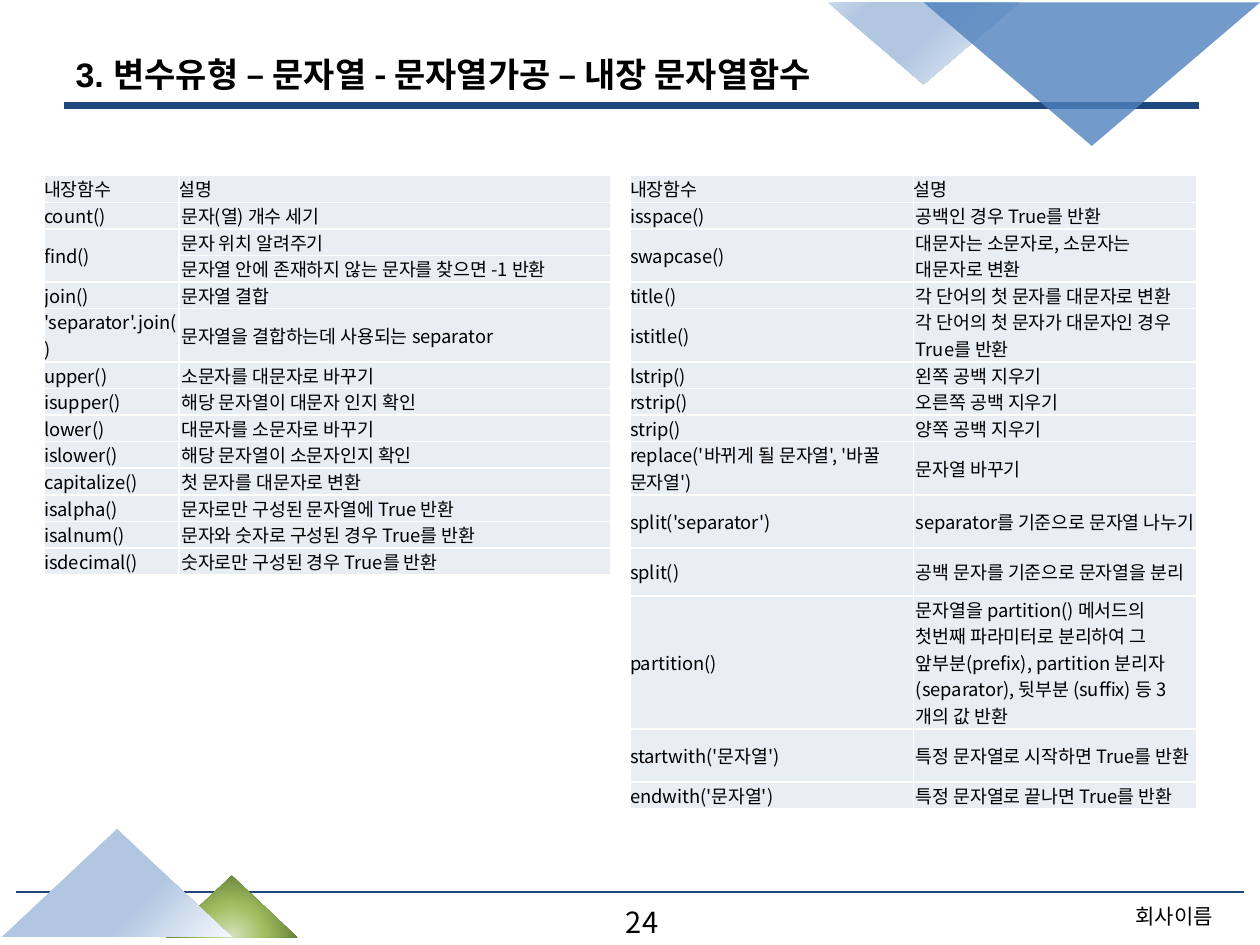
from lxml import etree
from pptx import Presentation
from pptx.dml.color import RGBColor
from pptx.enum import shapes, text
from pptx.oxml import parse_xml
from pptx.oxml.ns import nsdecls, qn
from pptx.util import Pt

FONT = "Noto Sans CJK KR"
NAVY, BLACK, WHITE, CELL = "1F497D", "000000", "FFFFFF", "E9EDF4"
LINE_HEIGHT = 15.2


def color(hex_code):
    return RGBColor.from_string(hex_code)


def style(paragraph, size, latin=FONT, bold=False):
    """Format every run, with the Korean font for East Asian letters."""
    for run in paragraph.runs:
        run.font.size = Pt(size)
        run.font.bold = bold
        run.font.name = latin
        run.font.color.rgb = color(BLACK)
        east_asian = etree.SubElement(run.font._element, qn("a:ea"))
        east_asian.set("typeface", FONT)


presentation = Presentation()
presentation.slide_width, presentation.slide_height = Pt(720), Pt(540)
slide = presentation.slides.add_slide(presentation.slide_layouts[5])

# Footer and title rules
for left, right, y, weight in [(9.4, 710.6, 509.8, 1.5), (36.7, 685.4, 60.5, 4)]:
    rule = slide.shapes.add_connector(
        shapes.MSO_CONNECTOR.STRAIGHT, Pt(left), Pt(y), Pt(right), Pt(y))
    rule.line.color.rgb = color(NAVY)
    rule.line.width = Pt(weight)
    etree.SubElement(rule._element.spPr, qn("a:effectLst"))

# Corner triangles: box, rotation, fill stops, focus of the gradient (l, t, r, b)
corner = (100, 100, 0, 0)
triangles = [
    ((473, 1.4, 109.4, 46.8), 180,
     [(0, "F6F9FC"), (53, "B0C6E1"), (83, "B0C6E1"), (100, "CAD9EB")], corner),
    ((527.8, 1.4, 192.2, 82), 180, "4F81BD", None),
    ((95, 500.4, 75, 35.3), 0,
     [(0, "D7E4BD"), (46, "A0BE61"), (100, "5F7530")], (50, 130, 50, -30)),
    ((1.4, 474, 131, 61.4), 0,
     [(0, "F6F9FC"), (38, "B0C6E1"), (67, "B0C6E1"), (100, "CAD9EB")], corner),
]
for box, rotation, fill, focus in triangles:
    triangle = slide.shapes.add_shape(
        shapes.MSO_SHAPE.ISOSCELES_TRIANGLE, *map(Pt, box))
    triangle.rotation = rotation
    triangle.shadow.inherit = False
    triangle.line.fill.background()
    if focus is None:
        triangle.fill.solid()
        triangle.fill.fore_color.rgb = color(fill)
        srgb = triangle._element.spPr.find(".//" + qn("a:srgbClr"))
        etree.SubElement(srgb, qn("a:alpha")).set("val", "80000")
        continue
    stops = "".join(
        f'<a:gs pos="{position * 1000}"><a:srgbClr val="{hex_code}"/></a:gs>'
        for position, hex_code in fill)
    edges = " ".join(f'{side}="{value * 1000}"' for side, value in zip("ltrb", focus))
    gradient = parse_xml(
        f'<a:gradFill {nsdecls("a")} rotWithShape="1"><a:gsLst>{stops}</a:gsLst>'
        f'<a:path path="circle"><a:fillToRect {edges}/></a:path></a:gradFill>')
    triangle._element.spPr.find(qn("a:prstGeom")).addnext(gradient)

# Footer texts
for content, box, size in [("회사이름", (637.9, 512.6, 66.2, 21.6), 12),
                           ("24", (283, 513.4, 167.8, 28.8), 16.6)]:
    footer = slide.shapes.add_textbox(*map(Pt, box))
    footer.text_frame.word_wrap = True
    paragraph = footer.text_frame.paragraphs[0]
    paragraph.text = content
    paragraph.alignment = text.PP_ALIGN.CENTER
    style(paragraph, size)

# Title
title = slide.shapes.title
title.left, title.top, title.width, title.height = map(Pt, (36, 25.9, 648, 33.1))
title.text_frame.auto_size = text.MSO_AUTO_SIZE.NONE
title.text_frame.vertical_anchor = text.MSO_ANCHOR.MIDDLE
paragraph = title.text_frame.paragraphs[0]
paragraph.alignment = text.PP_ALIGN.LEFT
for content in ("3. 변수유형 – ", "문자열 - 문자열가공 – 내장 문자열함수"):
    paragraph.add_run().text = content
style(paragraph, 19.4, bold=True)
paragraph.runs[0].font.name = "Arial"

# Function tables: name, description, height in text lines
# An empty name continues the cell above
header = ("내장함수", "설명", 1)
left_rows = [
    header,
    ("count()", "문자(열) 개수 세기", 1),
    ("find()", "문자 위치 알려주기", 1),
    ("", "문자열 안에 존재하지 않는 문자를 찾으면 -1 반환", 1),
    ("join()", "문자열 결합", 1),
    ("'separator'.join()", "문자열을 결합하는데 사용되는 separator", 2),
    ("upper()", "소문자를 대문자로 바꾸기", 1),
    ("isupper()", "해당 문자열이 대문자 인지 확인", 1),
    ("lower()", "대문자를 소문자로 바꾸기", 1),
    ("islower()", "해당 문자열이 소문자인지 확인", 1),
    ("capitalize()", "첫 문자를 대문자로 변환", 1),
    ("isalpha()", "문자로만 구성된 문자열에 True 반환", 1),
    ("isalnum()", "문자와 숫자로 구성된 경우 True를 반환", 1),
    ("isdecimal()", "숫자로만 구성된 경우 True를 반환", 1),
]
right_rows = [
    header,
    ("isspace()", "공백인 경우 True를 반환", 1),
    ("swapcase()", "대문자는 소문자로, 소문자는 대문자로 변환", 2),
    ("title()", "각 단어의 첫 문자를 대문자로 변환", 1),
    ("istitle()", "각 단어의 첫 문자가 대문자인 경우 True를 반환", 2),
    ("lstrip()", "왼쪽 공백 지우기", 1),
    ("rstrip()", "오른쪽 공백 지우기", 1),
    ("strip()", "양쪽 공백 지우기", 1),
    ("replace('바뀌게 될 문자열', '바꿀 문자열')", "문자열 바꾸기", 2),
    ("split('separator')", "separator를 기준으로 문자열 나누기", 2),
    ("split()", "공백 문자를 기준으로 문자열을 분리", 1.8),
    ("partition()", "문자열을 partition() 메서드의 첫번째 파라미터로 분리하여 그 "
     "앞부분(prefix), partition 분리자(separator), 뒷부분 (suffix) 등 3개의 값 반환", 5),
    ("startwith('문자열')", "특정 문자열로 시작하면 True를 반환", 2),
    ("endwith('문자열')", "특정 문자열로 끝나면 True를 반환", 1),
]
for left, widths, rows in [(25.2, (77, 247), left_rows), (360, (162, 162), right_rows)]:
    height = LINE_HEIGHT * sum(lines for _, _, lines in rows)
    table = slide.shapes.add_table(
        len(rows), 2, Pt(left), Pt(100.4), Pt(sum(widths)), Pt(height)).table
    table.first_row = table.horz_banding = False
    for column, width in zip(table.columns, widths):
        column.width = Pt(width)
    for row_index, (name, description, lines) in enumerate(rows):
        table.rows[row_index].height = Pt(LINE_HEIGHT * lines)
        for column_index, content in enumerate((name, description)):
            cell = table.cell(row_index, column_index)
            cell.margin_left = Pt(1.4 if row_index and column_index else 0)
            cell.margin_right = cell.margin_top = cell.margin_bottom = 0
            cell.vertical_anchor = text.MSO_ANCHOR.MIDDLE
            cell.fill.solid()
            cell.fill.fore_color.rgb = color(CELL)
            for position, side in enumerate("LRTB"):
                cell._tc.tcPr.insert(position, parse_xml(
                    f'<a:ln{side} {nsdecls("a")} w="{Pt(1)}"><a:solidFill>'
                    f'<a:srgbClr val="{WHITE}"/></a:solidFill></a:ln{side}>'))
            if content:
                cell.text_frame.text = content
                style(cell.text_frame.paragraphs[0], 10.5)
        if not name:
            table.cell(row_index - 1, 0).merge(table.cell(row_index, 0))

presentation.save("out.pptx")
